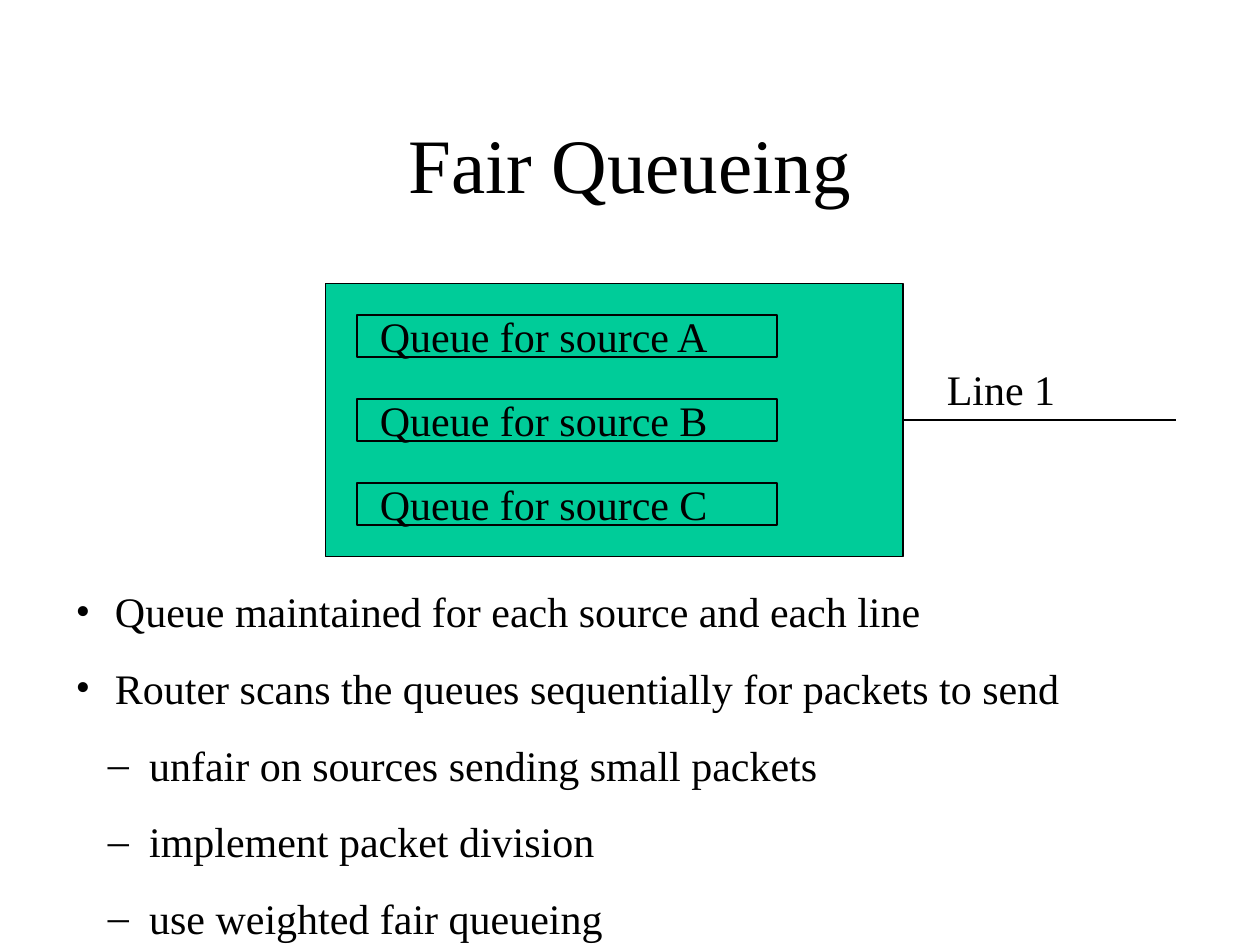
"""Build the Fair Queueing slide."""
from dataclasses import dataclass

import pptx
import pptx.dml.color
import pptx.enum.shapes
import pptx.enum.text
import pptx.oxml.ns
import pptx.util
from lxml import etree

Pt = pptx.util.Pt
qn = pptx.oxml.ns.qn

COLORS = {"ink": "000000", "router": "00CC99"}
FONT = "Times New Roman"
LINE_WIDTH = 0.74
QUEUE_PITCH = 48


@dataclass
class Box:
    left: float
    top: float
    width: float
    height: float


@dataclass
class Level:
    bullet: str
    margin: float
    hanging: float


@dataclass
class Point:
    text: str
    level: int = 0


LEVELS = [Level("•", 22.5, 22.5), Level("–", 42, 23.5)]
POINTS = [
    Point("Queue maintained for each source and each line"),
    Point("Router scans the queues sequentially for packets to send"),
    Point("unfair on sources sending small packets", 1),
    Point("implement packet division", 1),
    Point("use weighted fair queueing", 1),
]


def rgb(name: str) -> pptx.dml.color.RGBColor:
    return pptx.dml.color.RGBColor.from_string(COLORS[name])


def place(shape, box: Box) -> None:
    shape.left, shape.top = Pt(box.left), Pt(box.top)
    shape.width, shape.height = Pt(box.width), Pt(box.height)


def style_runs(paragraph, size: float) -> None:
    for run in paragraph.runs:
        run.font.name = FONT
        run.font.size = Pt(size)
        run.font.color.rgb = rgb("ink")


def space_lines(paragraph) -> None:
    paragraph.space_before = Pt(15)
    paragraph.line_spacing = Pt(28.8)


def add_rectangle(slide, box: Box) -> None:
    rectangle = slide.shapes.add_shape(
        pptx.enum.shapes.MSO_SHAPE.RECTANGLE,
        Pt(box.left), Pt(box.top), Pt(box.width), Pt(box.height))
    rectangle.shadow.inherit = False
    rectangle.fill.solid()
    rectangle.fill.fore_color.rgb = rgb("router")
    rectangle.line.color.rgb = rgb("ink")
    rectangle.line.width = Pt(LINE_WIDTH)


def add_label(slide, text: str, box: Box) -> None:
    label = slide.shapes.add_textbox(
        Pt(box.left), Pt(box.top), Pt(box.width), Pt(box.height))
    label.text_frame.word_wrap = True
    label.text_frame.text = text
    paragraph = label.text_frame.paragraphs[0]
    space_lines(paragraph)
    style_runs(paragraph, 24)


def add_line(slide, left: float, right: float, height: float) -> None:
    outgoing = slide.shapes.add_connector(
        pptx.enum.shapes.MSO_CONNECTOR.STRAIGHT,
        Pt(left), Pt(height), Pt(right), Pt(height))
    outgoing.line.color.rgb = rgb("ink")
    outgoing.line.width = Pt(LINE_WIDTH)
    etree.SubElement(outgoing._element.spPr, qn("a:effectLst"))


def format_point(paragraph, point: Point) -> None:
    level = LEVELS[point.level]
    paragraph.text = point.text
    paragraph.level = point.level
    space_lines(paragraph)
    style_runs(paragraph, 24)
    properties = paragraph._p.get_or_add_pPr()
    properties.set("marL", str(Pt(level.margin)))
    properties.set("indent", str(-Pt(level.hanging)))
    bullet_color = etree.SubElement(properties, qn("a:buClr"))
    etree.SubElement(bullet_color, qn("a:srgbClr"), val=COLORS["ink"])
    etree.SubElement(properties, qn("a:buFont"), typeface=FONT)
    etree.SubElement(properties, qn("a:buChar"), char=level.bullet)


def fill_title(title) -> None:
    place(title, Box(54, 48, 612, 90))
    title.text_frame.text = "Fair Queueing"
    title.text_frame.vertical_anchor = pptx.enum.text.MSO_ANCHOR.MIDDLE
    title.text_frame.auto_size = pptx.enum.text.MSO_AUTO_SIZE.NONE
    heading = title.text_frame.paragraphs[0]
    heading.alignment = pptx.enum.text.PP_ALIGN.CENTER
    style_runs(heading, 44)


def fill_points(body) -> None:
    place(body, Box(36, 331.2, 648, 211.2))
    frame = body.text_frame
    frame.auto_size = pptx.enum.text.MSO_AUTO_SIZE.NONE
    frame.vertical_anchor = pptx.enum.text.MSO_ANCHOR.TOP
    for index, point in enumerate(POINTS):
        paragraph = frame.add_paragraph() if index else frame.paragraphs[0]
        format_point(paragraph, point)


def main() -> None:
    deck = pptx.Presentation()
    deck.slide_width, deck.slide_height = Pt(720), Pt(540)
    slide = deck.slides.add_slide(deck.slide_layouts[1])
    fill_title(slide.shapes.title)
    add_rectangle(slide, Box(186, 162, 330, 156))
    for index, source in enumerate("ABC"):
        offset = index * QUEUE_PITCH
        add_rectangle(slide, Box(204, 180 + offset, 240, 24))
        add_label(slide, f"Queue for source {source}", Box(210, 174 + offset, 222, 36))
    add_line(slide, 516, 672, 240)
    add_label(slide, "Line 1", Box(534, 204, 114, 36))
    fill_points(slide.placeholders[1])
    deck.save("out.pptx")


main()
